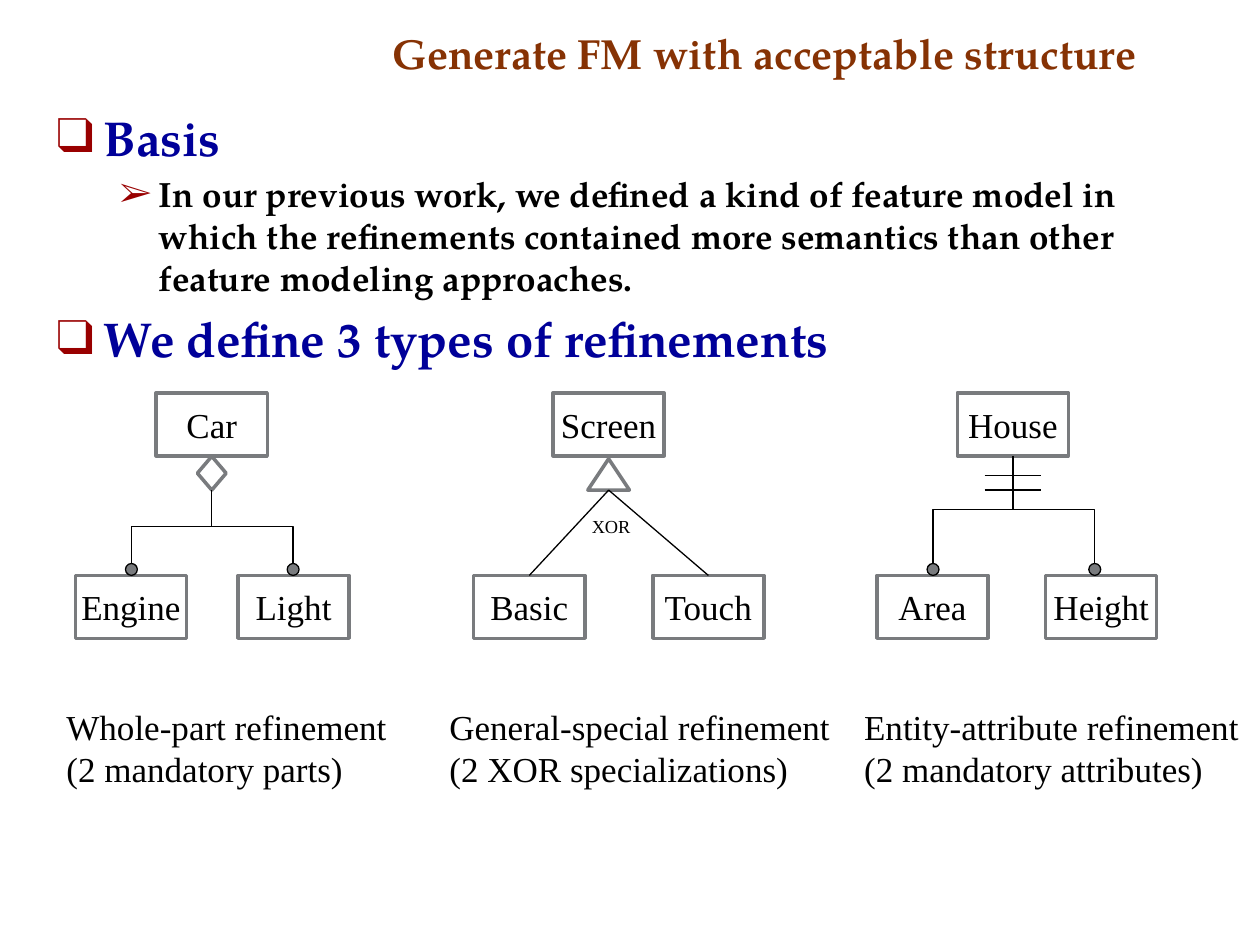
from typing import NamedTuple

from lxml import etree
from pptx import Presentation
from pptx import util as u
from pptx.dml import color
from pptx.enum import shapes, text
from pptx.oxml import ns

SERIF, BOOK = "Times New Roman", "TeX Gyre Pagella"
BLACK, WHITE, GREY = "000000", "FFFFFF", "797B7E"
WIDE, HIGH, DOT = 2.24, 1.27, 0.24
TOP, LOW, NOTE = 7.92, 11.6, 14.1
FORM, LINK = shapes.MSO_SHAPE, shapes.MSO_CONNECTOR


class Kid(NamedTuple):
    name: str
    left: float
    foot: float


class Model(NamedTuple):
    name: str
    left: float
    kids: tuple[Kid, Kid]
    note: str
    note_left: float
    note_wide: float

    @property
    def mid(self) -> float:
        return self.left + WIDE / 2


class Point(NamedTuple):
    words: str
    level: int
    size: int
    tint: str
    mark: str
    margin: float
    indent: float


WHOLE = Model("Car", 3.15, (Kid("Engine", 1.52, 2.65), Kid("Light", 4.8, 5.91)),
              "Whole-part refinement\n(2 mandatory parts)", 1.09, 7.01)
KIND = Model("Screen", 11.15, (Kid("Basic", 9.55, 10.67), Kid("Touch", 13.16, 14.28)),
             "General-special refinement\n(2 XOR specializations)", 8.81, 8.23)
ENTITY = Model("House", 19.3, (Kid("Area", 17.68, 18.81), Kid("Height", 21.08, 22.07)),
               "Entity-attribute refinement\n(2 mandatory attributes)", 17.17, 8.1)

POINTS = (
    Point("Basis", 0, 28, "000099", "❑", 0.95, -0.95),
    Point("In our previous work, we defined a kind of feature model in which the "
          "refinements contained more semantics than other feature modeling approaches.",
          1, 20, BLACK, "➢", 2.06, -0.79),
    Point("We define 3 types of refinements", 0, 28, "000099", "❑", 0.95, -0.95),
)


def hue(code: str) -> color.RGBColor:
    return color.RGBColor.from_string(code)


def style(para, size: float, tint: str = BLACK, face: str = SERIF, bold: bool = False) -> None:
    for run in para.runs:
        run.font.size = u.Pt(size)
        run.font.name = face
        run.font.bold = bold
        run.font.color.rgb = hue(tint)


def place(shape, left: float, top: float, wide: float, high: float) -> None:
    shape.left, shape.top = u.Cm(left), u.Cm(top)
    shape.width, shape.height = u.Cm(wide), u.Cm(high)


def draw(slide, form, left: float, top: float, wide: float, high: float,
         fill: str = WHITE, edge: str = GREY, thick: float = 2):
    shape = slide.shapes.add_shape(form, u.Cm(left), u.Cm(top), u.Cm(wide), u.Cm(high))
    shape.shadow.inherit = False
    shape.fill.solid()
    shape.fill.fore_color.rgb = hue(fill)
    shape.line.color.rgb = hue(edge)
    shape.line.width = u.Pt(thick)
    return shape


def box(slide, name: str, left: float, top: float):
    shape = draw(slide, FORM.RECTANGLE, left, top, WIDE, HIGH)
    frame = shape.text_frame
    frame.word_wrap = False
    frame.vertical_anchor = text.MSO_ANCHOR.MIDDLE
    frame.text = name
    frame.paragraphs[0].alignment = text.PP_ALIGN.CENTER
    style(frame.paragraphs[0], 20)
    return shape


def label(slide, words: str, left: float, top: float, wide: float, high: float,
          size: float) -> None:
    frame = slide.shapes.add_textbox(u.Cm(left), u.Cm(top), u.Cm(wide), u.Cm(high)).text_frame
    frame.word_wrap = False
    frame.auto_size = text.MSO_AUTO_SIZE.SHAPE_TO_FIT_TEXT
    frame.text = words
    for para in frame.paragraphs:
        style(para, size)


def join(slide, x1: float, y1: float, x2: float, y2: float, form=LINK.STRAIGHT):
    line = slide.shapes.add_connector(form, u.Cm(x1), u.Cm(y1), u.Cm(x2), u.Cm(y2))
    line.line.color.rgb = hue(BLACK)
    line.line.width = u.Pt(0.75)
    etree.SubElement(line._element.spPr, ns.qn("a:effectLst"))
    return line


def elbow(slide, x1: float, y1: float, x2: float, y2: float) -> None:
    mid_x, mid_y = (x1 + x2) / 2, (y1 + y2) / 2
    half = (y2 - y1) / 2 * (1 if x2 < x1 else -1)
    rise = abs(x2 - x1) / 2
    line = join(slide, mid_x - half, mid_y - rise, mid_x + half, mid_y + rise, LINK.ELBOW)
    turn = 90 if x2 < x1 else 270
    line._element.spPr.find(ns.qn("a:xfrm")).set("rot", str(turn * 60000))


def tree(slide, model: Model) -> list:
    box(slide, model.name, model.left, TOP)
    label(slide, model.note, model.note_left, NOTE, model.note_wide, 1.96, 20)
    return [box(slide, kid.name, kid.left, LOW) for kid in model.kids]


def forks(slide, model: Model, start: float) -> None:
    for kid in model.kids:
        top = LOW - DOT
        draw(slide, FORM.OVAL, kid.foot - DOT / 2, top, DOT, DOT, GREY, BLACK, 0.75)
        elbow(slide, model.mid, start, kid.foot, top)


def bullet(para, point: Point) -> None:
    para.level = point.level
    props = para._p.get_or_add_pPr()
    props.set("marL", str(u.Cm(point.margin)))
    props.set("indent", str(u.Cm(point.indent)))
    tint = etree.SubElement(props, ns.qn("a:buClr"))
    etree.SubElement(tint, ns.qn("a:srgbClr")).set("val", "990000")
    etree.SubElement(props, ns.qn("a:buFont")).set("typeface", SERIF)
    etree.SubElement(props, ns.qn("a:buChar")).set("char", point.mark)
    style(para, point.size, point.tint, BOOK, True)


def head(slide) -> None:
    title = slide.shapes.title
    place(title, 7.65, 0.43, 17.37, 1.27)
    frame = title.text_frame
    frame.text = "Generate FM with acceptable structure"
    frame.vertical_anchor = text.MSO_ANCHOR.BOTTOM
    frame.auto_size = text.MSO_AUTO_SIZE.NONE
    frame.paragraphs[0].alignment = text.PP_ALIGN.LEFT
    style(frame.paragraphs[0], 24, "863204", BOOK, True)


def body(slide) -> None:
    shape = slide.placeholders[1]
    place(shape, 0.89, 2.03, 23.44, 14.48)
    frame = shape.text_frame
    frame.text = "\n".join(point.words for point in POINTS)
    frame.auto_size = text.MSO_AUTO_SIZE.NONE
    frame.paragraphs[0].space_before = u.Pt(0)
    for para, point in zip(frame.paragraphs, POINTS):
        bullet(para, point)


def main() -> None:
    deck = Presentation()
    deck.slide_width, deck.slide_height = u.Cm(25.4), u.Cm(19.05)
    slide = deck.slides.add_slide(deck.slide_layouts[1])
    head(slide)
    body(slide)

    tree(slide, WHOLE)
    draw(slide, FORM.DIAMOND, WHOLE.mid - 0.29, 9.2, 0.58, 0.68)
    forks(slide, WHOLE, 9.88)

    kids = tree(slide, KIND)
    draw(slide, FORM.ISOSCELES_TRIANGLE, KIND.mid - 0.42, 9.25, 0.84, 0.63)
    for kid, shape in zip(KIND.kids, kids):
        join(slide, KIND.mid, 9.88, kid.foot, LOW).end_connect(shape, 0)
    label(slide, "XOR", 11.68, 10.26, 1.35, 0.74, 10.5)

    tree(slide, ENTITY)
    forks(slide, ENTITY, TOP + HIGH)
    for y in (9.58, 9.88):
        join(slide, ENTITY.mid - 0.57, y, ENTITY.mid + 0.57, y)

    deck.save("out.pptx")


if __name__ == "__main__":
    main()
